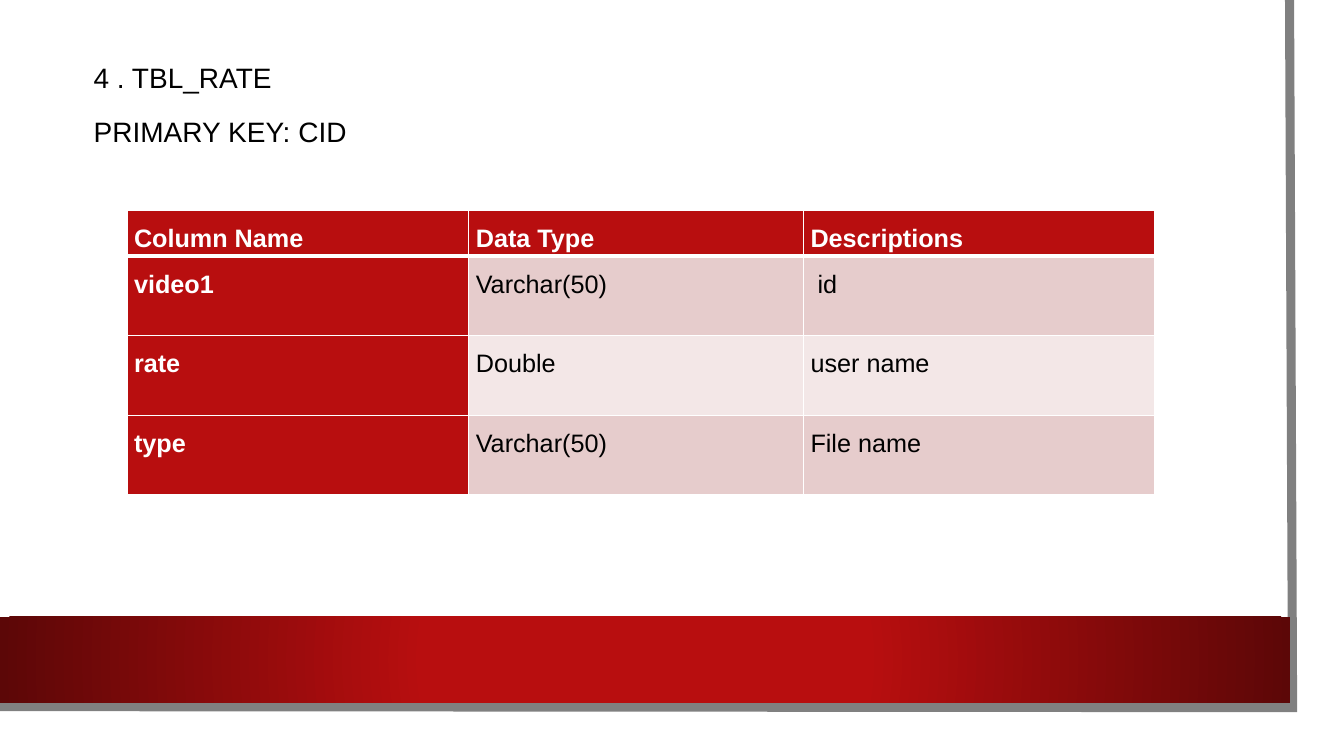
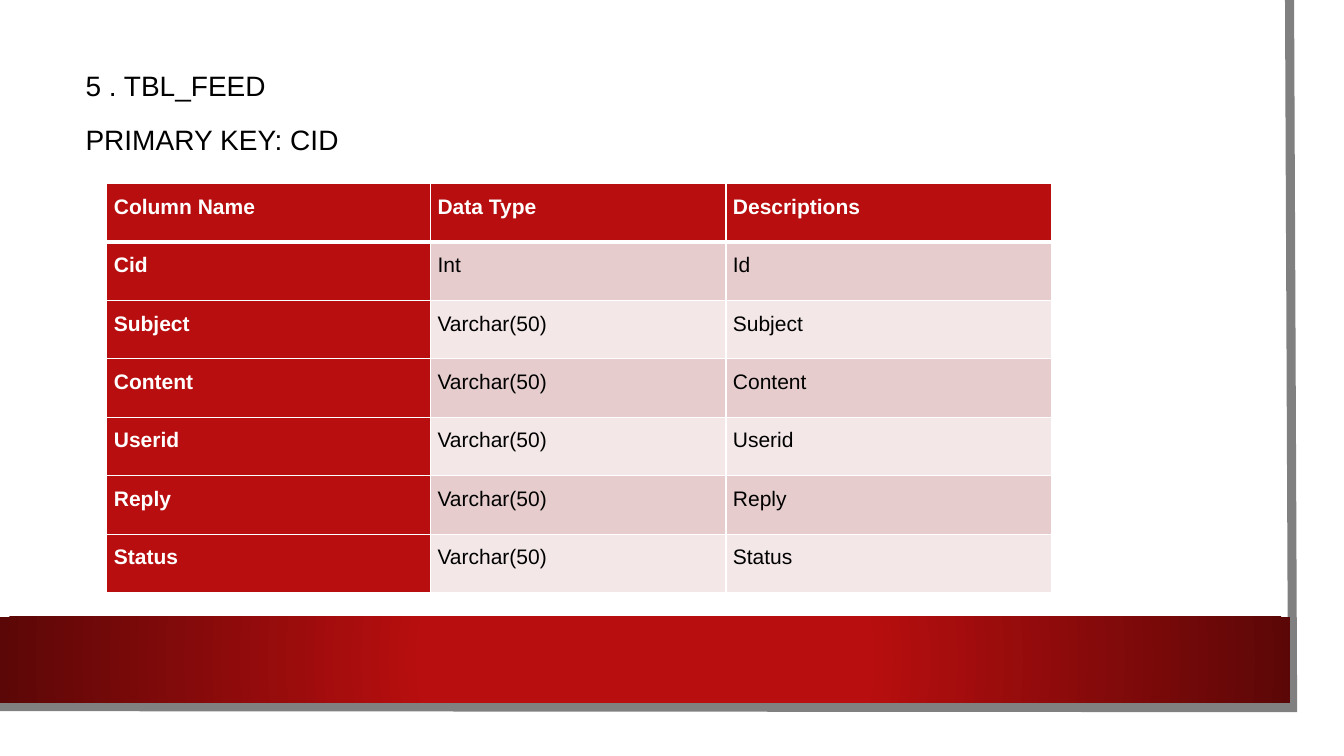
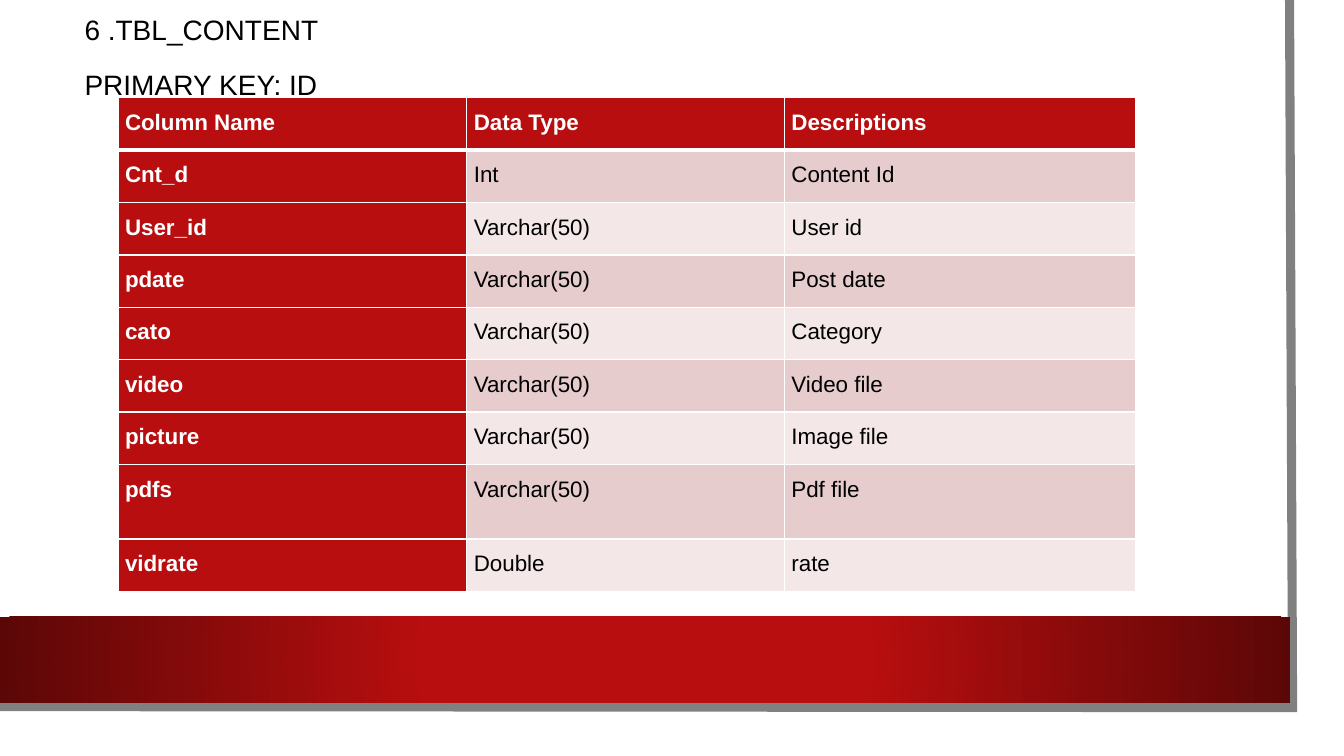
from pptx import Presentation
from pptx.dml.color import RGBColor
from pptx.enum import shapes, text
from pptx.oxml import parse_xml
from pptx.oxml.ns import nsdecls, qn
from pptx.util import Inches, Pt

WHITE = RGBColor(0xFF, 0xFF, 0xFF)
BLACK = RGBColor(0, 0, 0)
GRAY = RGBColor(0x80, 0x80, 0x80)
RED = RGBColor(0xB8, 0x0E, 0x0F)
DARK_RED = RGBColor(0x5C, 0x07, 0x07)
PINK = RGBColor(0xE6, 0xCC, 0xCC)
PALE = RGBColor(0xF3, 0xE7, 0xE7)
FONT = "Arial"
HEADER = ("Column Name", "Data Type", "Descriptions")

BAND_FILL = f"""<a:gradFill {nsdecls('a')} rotWithShape="1"><a:gsLst>
<a:gs pos="34000"><a:srgbClr val="{RED}"/></a:gs>
<a:gs pos="100000"><a:srgbClr val="{DARK_RED}"/></a:gs></a:gsLst>
<a:path path="circle"><a:fillToRect l="50000" t="50000" r="50000" b="50000"/></a:path>
</a:gradFill>"""

# Each slide: title lines and place, then table place, sizes and body rows
SLIDES = [
    dict(title=("4 . TBL_RATE", "PRIMARY KEY: CID"), title_at=(0.83, 0.5),
         table_at=(1.26, 2.09), cols=(3.39, 3.32, 3.48), size=18,
         heights=[0.42] + [0.79] * 3,
         rows=[("video1", "Varchar(50)", " id"),
               ("rate", "Double", "user name"),
               ("type", "Varchar(50)", "File name")]),
    dict(title=("5 . TBL_FEED", "PRIMARY KEY: CID"), title_at=(0.75, 0.58),
         table_at=(1.06, 1.82), cols=(3.21, 2.93, 3.23), size=15,
         heights=[0.58] * 7,
         rows=[("Cid", "Int", "Id"),
               ("Subject", "Varchar(50)", "Subject"),
               ("Content", "Varchar(50)", "Content"),
               ("Userid", "Varchar(50)", "Userid"),
               ("Reply", "Varchar(50)", "Reply"),
               ("Status", "Varchar(50)", "Status")]),
    dict(title=("6 .TBL_CONTENT", "PRIMARY KEY: ID"), title_at=(0.74, 0.03),
         table_at=(1.17, 0.97), cols=(3.46, 3.15, 3.48), size=16,
         heights=[0.52] * 7 + [0.74, 0.52],
         rows=[("Cnt_d", "Int", "Content Id"),
               ("User_id", "Varchar(50)", "User id"),
               ("pdate", "Varchar(50)", "Post date"),
               ("cato", "Varchar(50)", "Category"),
               ("video", "Varchar(50)", "Video file"),
               ("picture", "Varchar(50)", "Image file"),
               ("pdfs", "Varchar(50)", "Pdf file"),
               ("vidrate", "Double", "rate")]),
]


def add_rect(s, x, y, w, h):
    sp = s.shapes.add_shape(shapes.MSO_SHAPE.RECTANGLE,
                            Inches(x), Inches(y), Inches(w), Inches(h))
    sp.shadow.inherit = False
    sp.line.fill.background()
    sp.fill.solid()
    sp.fill.fore_color.rgb = WHITE
    return sp


def set_borders(cell, top, bottom):
    tcPr = cell._tc.get_or_add_tcPr()
    for side, width in (("L", 1), ("R", 1), ("T", top), ("B", bottom)):
        tcPr.append(parse_xml(
            f'<a:ln{side} {nsdecls("a")} w="{Pt(width)}"><a:solidFill>'
            f'<a:srgbClr val="{WHITE}"/></a:solidFill></a:ln{side}>'))


prs = Presentation()
prs.slide_width, prs.slide_height = Inches(13.33), Inches(7.5)

for data in SLIDES:
    s = prs.slides.add_slide(prs.slide_layouts[6])

    # Sheet with gray edge
    add_rect(s, 0, 0, 13.1, 7.27)
    fb = s.shapes.build_freeform(Inches(12.79), 0)
    fb.add_line_segments([(Inches(12.82), Inches(7.02)),
                          (Inches(-0.03), Inches(7.01))], close=False)
    edge = fb.convert_to_shape()
    edge.shadow.inherit = False
    edge.fill.background()
    edge.line.color.rgb = GRAY
    edge.line.width = Pt(6.5)
    edge._element.spPr.find(qn("a:ln")).append(
        parse_xml(f'<a:miter {nsdecls("a")} lim="800000"/>'))

    # Red band
    band = add_rect(s, 0, 6.12, 12.8, 0.85)
    spPr = band._element.spPr
    spPr.replace(spPr.find(qn("a:solidFill")), parse_xml(BAND_FILL))

    # Title
    x, y = data["title_at"]
    tf = s.shapes.add_textbox(Inches(x), Inches(y), Inches(11.37), Inches(1)).text_frame
    tf.word_wrap = True
    tf.vertical_anchor = text.MSO_ANCHOR.MIDDLE
    tf.text = "\n".join(data["title"])
    for i, p in enumerate(tf.paragraphs):
        p.line_spacing = 1.2
        p.space_before = Pt(10 if i else 0)
        p.font.name, p.font.size = FONT, Pt(20)
        p.font.color.rgb = BLACK

    # Table
    x, y = data["table_at"]
    rows = [HEADER] + data["rows"]
    table = s.shapes.add_table(len(rows), len(HEADER), Inches(x), Inches(y),
                               Inches(sum(data["cols"])),
                               Inches(sum(data["heights"]))).table
    for col, width in zip(table.columns, data["cols"]):
        col.width = Inches(width)
    for i, row in enumerate(rows):
        table.rows[i].height = Inches(data["heights"][i])
        for j, value in enumerate(row):
            cell = table.cell(i, j)
            heading = i == 0 or j == 0
            set_borders(cell, 3 if i == 1 else 1, 3 if i == 0 else 1)
            cell.fill.solid()
            cell.fill.fore_color.rgb = RED if heading else PINK if i % 2 else PALE
            cell.margin_left = cell.margin_right = Inches(0.07)
            cell.margin_top = cell.margin_bottom = 0
            cell.text = value
            p = cell.text_frame.paragraphs[0]
            p.alignment = text.PP_ALIGN.JUSTIFY
            p.line_spacing = 1.5
            p.font.name, p.font.size = FONT, Pt(data["size"])
            p.font.bold = heading
            p.font.color.rgb = WHITE if heading else BLACK

prs.save("out.pptx")
